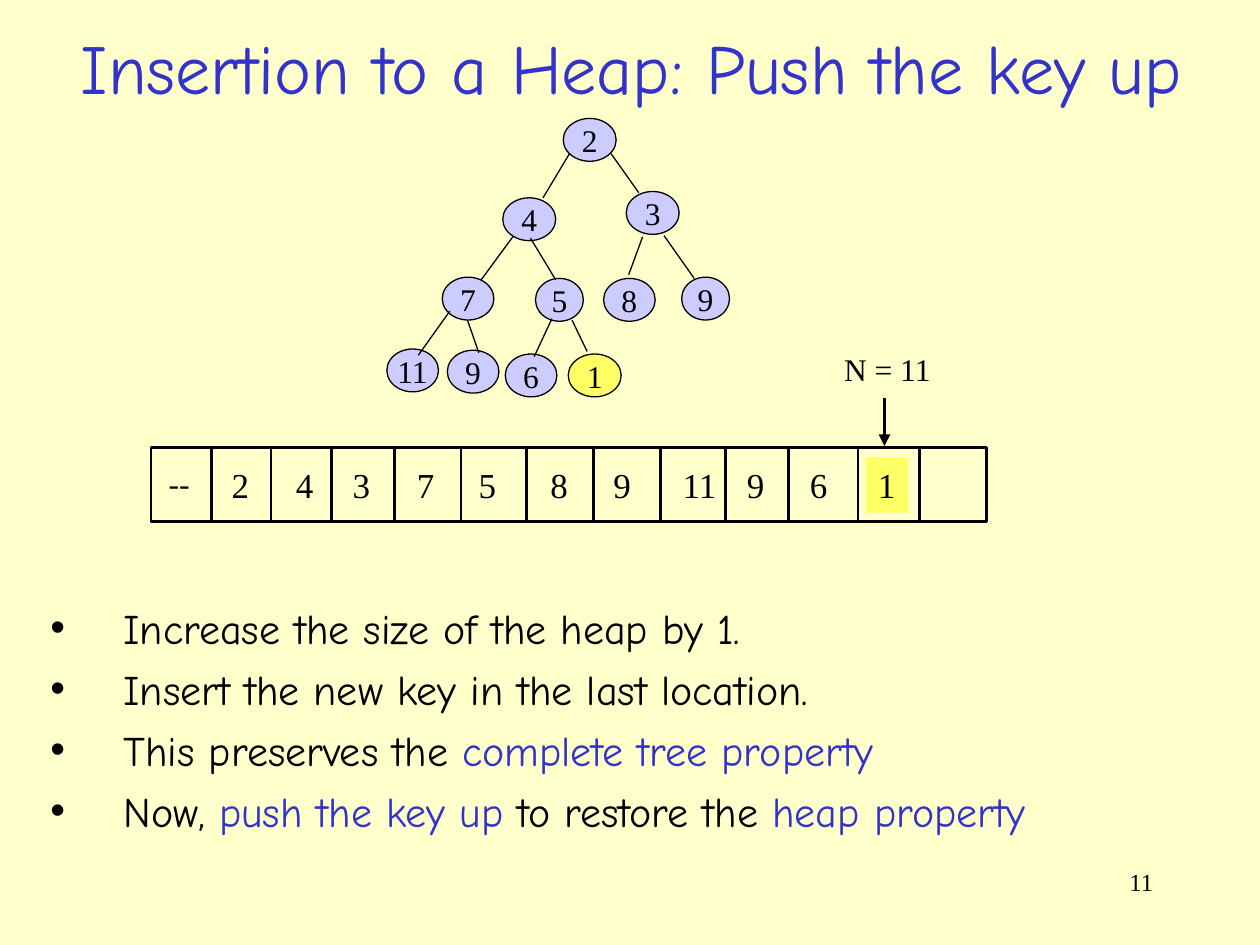
from lxml.etree import SubElement
from pptx import Presentation
from pptx.dml.color import RGBColor
from pptx.enum.shapes import MSO_CONNECTOR, MSO_SHAPE
from pptx.enum.text import MSO_ANCHOR, MSO_AUTO_SIZE, PP_ALIGN
from pptx.oxml.ns import qn
from pptx.util import Inches, Pt

COLORS = {"background": "FFFFCC", "ink": "000000", "accent": "3333CC",
          "node": "CCCCFF", "new": "FFFF66"}
SERIF, COMIC = "Times New Roman", "Comic Neue"
NODES = [
    ("2", 4.47, 0.94, 0.42), ("4", 3.99, 1.57, 0.42), ("3", 4.97, 1.52, 0.42),
    ("7", 3.51, 2.2, 0.41), ("5", 4.25, 2.21, 0.38), ("8", 4.79, 2.21, 0.41),
    ("9", 5.41, 2.2, 0.38), ("11", 3.07, 2.77, 0.41), ("9", 3.55, 2.78, 0.41),
    ("6", 4.01, 2.81, 0.41), ("1", 4.51, 2.81, 0.42),
]
EDGES = [
    (4.52, 1.22, 4.31, 1.57), (4.85, 1.22, 5.07, 1.53),
    (4.07, 1.88, 3.82, 2.22), (4.21, 1.89, 4.41, 2.22),
    (5.1, 1.88, 4.99, 2.18), (5.27, 1.87, 5.51, 2.21),
    (3.57, 2.47, 3.32, 2.82), (3.71, 2.54, 3.8, 2.8),
    (4.38, 2.53, 4.24, 2.83), (4.54, 2.54, 4.66, 2.79),
]
ARRAY_LEFT, ARRAY_TOP, ARRAY_WIDTH, ARRAY_HEIGHT = 1.2, 3.55, 6.63, 0.59
DIVIDERS = [1.68, 2.15, 2.63, 3.13, 3.66, 4.18, 4.71, 5.24, 5.76, 6.26, 6.81, 7.3]
CELLS = [("2", 1.74), ("4", 2.25), ("3", 2.7), ("7", 3.21), ("5", 3.7), ("8", 4.27),
         ("9", 4.77), ("11", 5.32), ("9", 5.83), ("6", 6.33), ("1", 6.87)]
BULLETS = [
    [("Increase the size of the heap by 1.", "ink")],
    [("Insert the new key in the last location.", "ink")],
    [("This preserves the ", "ink"), ("complete tree property", "accent")],
    [("Now, ", "ink"), ("push the key up", "accent"),
     (" to restore the ", "ink"), ("heap property", "accent")],
]


def color(name):
    """Return the named colour."""
    return RGBColor.from_string(COLORS[name])


def place(shape, left, top, width, height):
    """Move and size a shape, in inches."""
    shape.left, shape.top = Inches(left), Inches(top)
    shape.width, shape.height = Inches(width), Inches(height)


def add_run(paragraph, text, size, font=SERIF, ink="ink"):
    """Add one formatted run to a paragraph."""
    run = paragraph.add_run()
    run.text = text
    run.font.size = Pt(size)
    run.font.name = font
    run.font.color.rgb = color(ink)


def add_title(slide, text):
    """Fill the title placeholder."""
    title = slide.shapes.title
    place(title, 0.11, 0.15, 9.8, 0.76)
    title.text_frame.auto_size = MSO_AUTO_SIZE.NONE
    title.text_frame.vertical_anchor = MSO_ANCHOR.MIDDLE
    paragraph = title.text_frame.paragraphs[0]
    paragraph.alignment = PP_ALIGN.CENTER
    add_run(paragraph, text, 40, COMIC, "accent")


def add_bullets(slide, items):
    """Fill the body placeholder with a bulleted list."""
    body = slide.placeholders[1]
    place(body, 0.3, 4.73, 9.4, 2.1)
    frame = body.text_frame
    frame.auto_size = MSO_AUTO_SIZE.NONE
    for index, runs in enumerate(items):
        paragraph = frame.add_paragraph() if index else frame.paragraphs[0]
        paragraph.space_before = Pt(6)
        properties = paragraph._p.get_or_add_pPr()
        properties.set("marL", str(Inches(0.58)))
        properties.set("indent", str(-Inches(0.58)))
        bullet_color = SubElement(properties, qn("a:buClr"))
        SubElement(bullet_color, qn("a:srgbClr"), val=COLORS["ink"])
        SubElement(properties, qn("a:buChar"), char="•")
        for text, ink in runs:
            add_run(paragraph, text, 24, COMIC, ink)


def add_label(slide, text, left, top, width, height, size):
    """Add a one-line text box that never wraps."""
    label = slide.shapes.add_textbox(
        Inches(left), Inches(top), Inches(width), Inches(height))
    label.text_frame.word_wrap = False
    label.text_frame.auto_size = MSO_AUTO_SIZE.SHAPE_TO_FIT_TEXT
    add_run(label.text_frame.paragraphs[0], text, size)
    return label


def add_page_number(slide, number):
    """Add the page number, aligned right."""
    box = slide.shapes.add_textbox(
        Inches(7.17), Inches(6.83), Inches(2.08), Inches(0.5))
    box.text_frame.word_wrap = True
    paragraph = box.text_frame.paragraphs[0]
    paragraph.alignment = PP_ALIGN.RIGHT
    add_run(paragraph, number, 14)


def add_line(slide, x1, y1, x2, y2, width, arrow=False):
    """Add a straight line, with an arrowhead at its end if asked."""
    line = slide.shapes.add_connector(
        MSO_CONNECTOR.STRAIGHT, Inches(x1), Inches(y1), Inches(x2), Inches(y2))
    line.line.color.rgb = color("ink")
    line.line.width = Pt(width)
    if arrow:
        SubElement(line.line._get_or_add_ln(), qn("a:tailEnd"), type="triangle")
    SubElement(line._element.spPr, qn("a:effectLst"))


def add_node(slide, text, left, top, width, fill):
    """Add one heap node."""
    node = slide.shapes.add_shape(
        MSO_SHAPE.OVAL, Inches(left), Inches(top), Inches(width), Inches(0.34))
    node.shadow.inherit = False
    node.fill.solid()
    node.fill.fore_color.rgb = color(fill)
    node.line.color.rgb = color("ink")
    node.line.width = Pt(0.75)
    frame = node.text_frame
    frame.word_wrap = False
    frame.vertical_anchor = MSO_ANCHOR.MIDDLE
    frame.paragraphs[0].alignment = PP_ALIGN.CENTER
    add_run(frame.paragraphs[0], text, 18)


def add_tree(slide):
    """Draw the heap as a tree, with the new key highlighted."""
    for text, left, top, width in NODES:
        add_node(slide, text, left, top, width, "new" if text == "1" else "node")
    for edge in EDGES:
        add_line(slide, *edge, 0.75)


def add_array(slide):
    """Draw the heap as an array, with the new key highlighted."""
    outline = slide.shapes.add_shape(
        MSO_SHAPE.RECTANGLE, Inches(ARRAY_LEFT), Inches(ARRAY_TOP),
        Inches(ARRAY_WIDTH), Inches(ARRAY_HEIGHT))
    outline.shadow.inherit = False
    outline.fill.background()
    outline.line.color.rgb = color("ink")
    outline.line.width = Pt(1.5)
    for x in DIVIDERS:
        add_line(slide, x, ARRAY_TOP, x, ARRAY_TOP + ARRAY_HEIGHT, 1.5)
    add_label(slide, "--", 1.24, 3.63, 0.38, 0.4, 18)
    for text, left in CELLS:
        width = 0.2 + 0.14 * len(text)
        cell = add_label(slide, text, left, 3.63, width, 0.44, 20)
        if text == "1":
            cell.fill.solid()
            cell.fill.fore_color.rgb = color("new")
    add_label(slide, "N = 11", 6.6, 2.73, 0.89, 0.4, 18)
    add_line(slide, 7.02, 3.16, 7.02, 3.54, 2.25, arrow=True)


def main():
    """Build the slide and save it."""
    presentation = Presentation()
    presentation.slide_width, presentation.slide_height = Inches(10), Inches(7.5)
    slide = presentation.slides.add_slide(presentation.slide_layouts[1])
    slide.background.fill.solid()
    slide.background.fill.fore_color.rgb = color("background")
    add_title(slide, "Insertion to a Heap: Push the key up")
    add_tree(slide)
    add_array(slide)
    add_bullets(slide, BULLETS)
    add_page_number(slide, "11")
    presentation.save("out.pptx")


if __name__ == "__main__":
    main()
